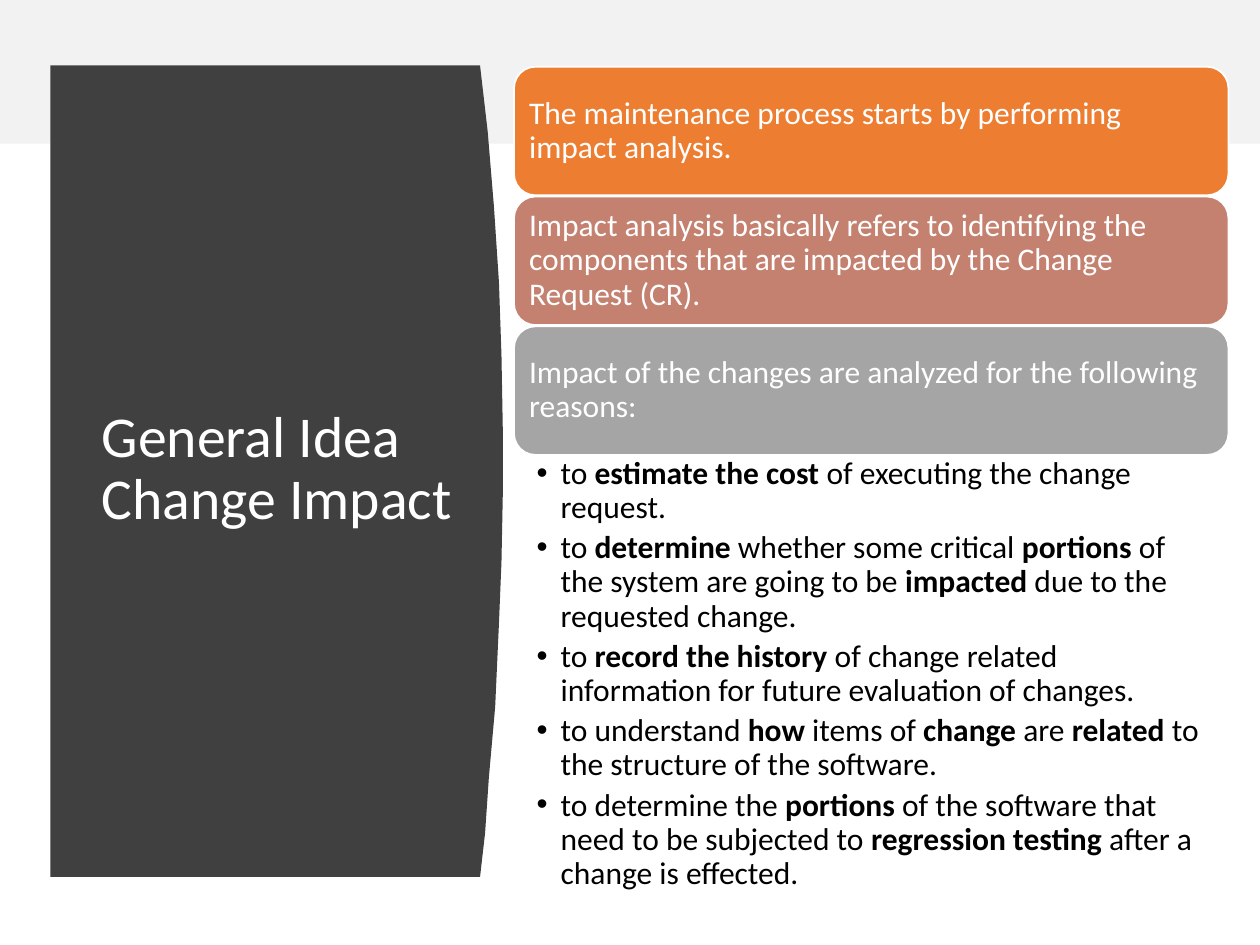
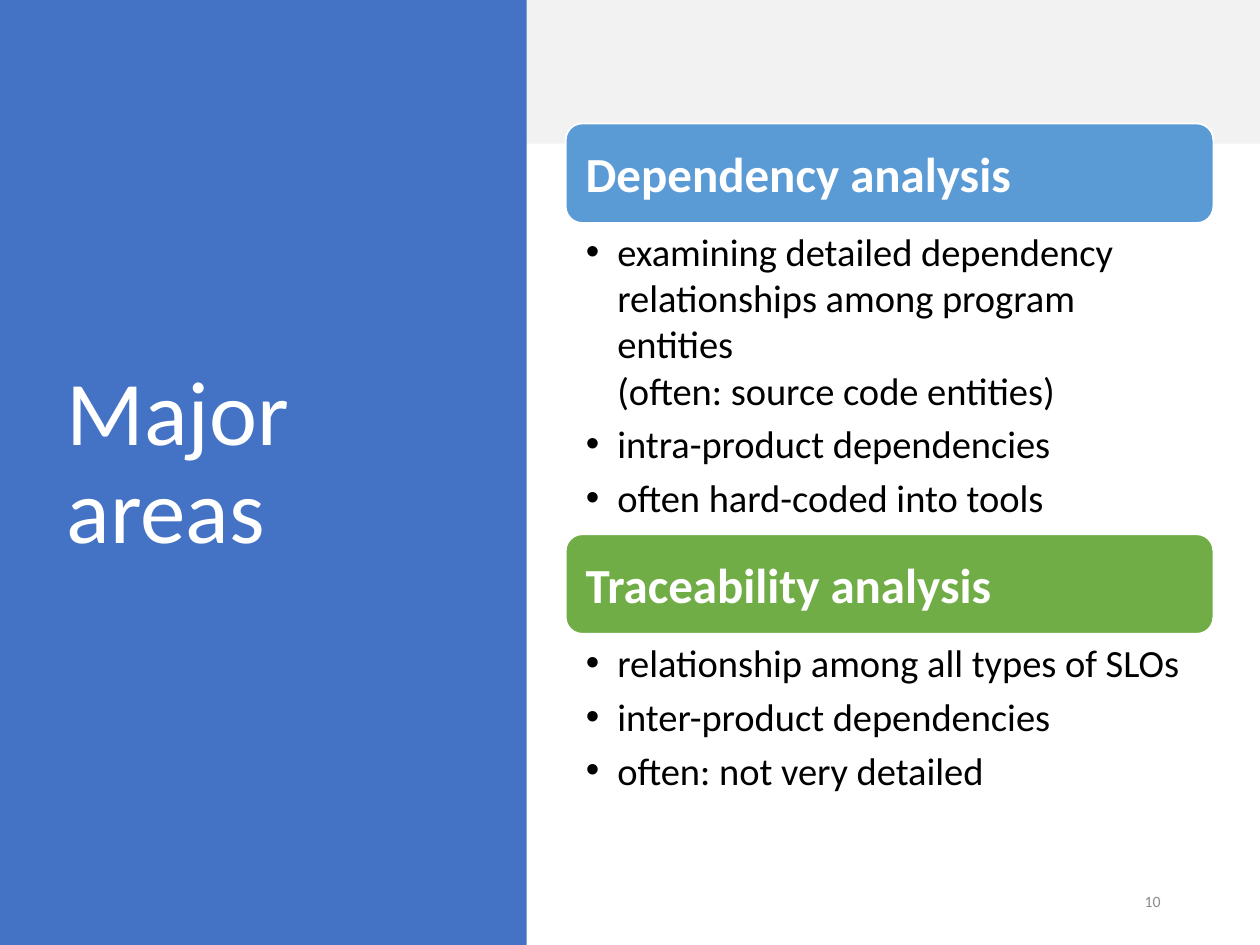
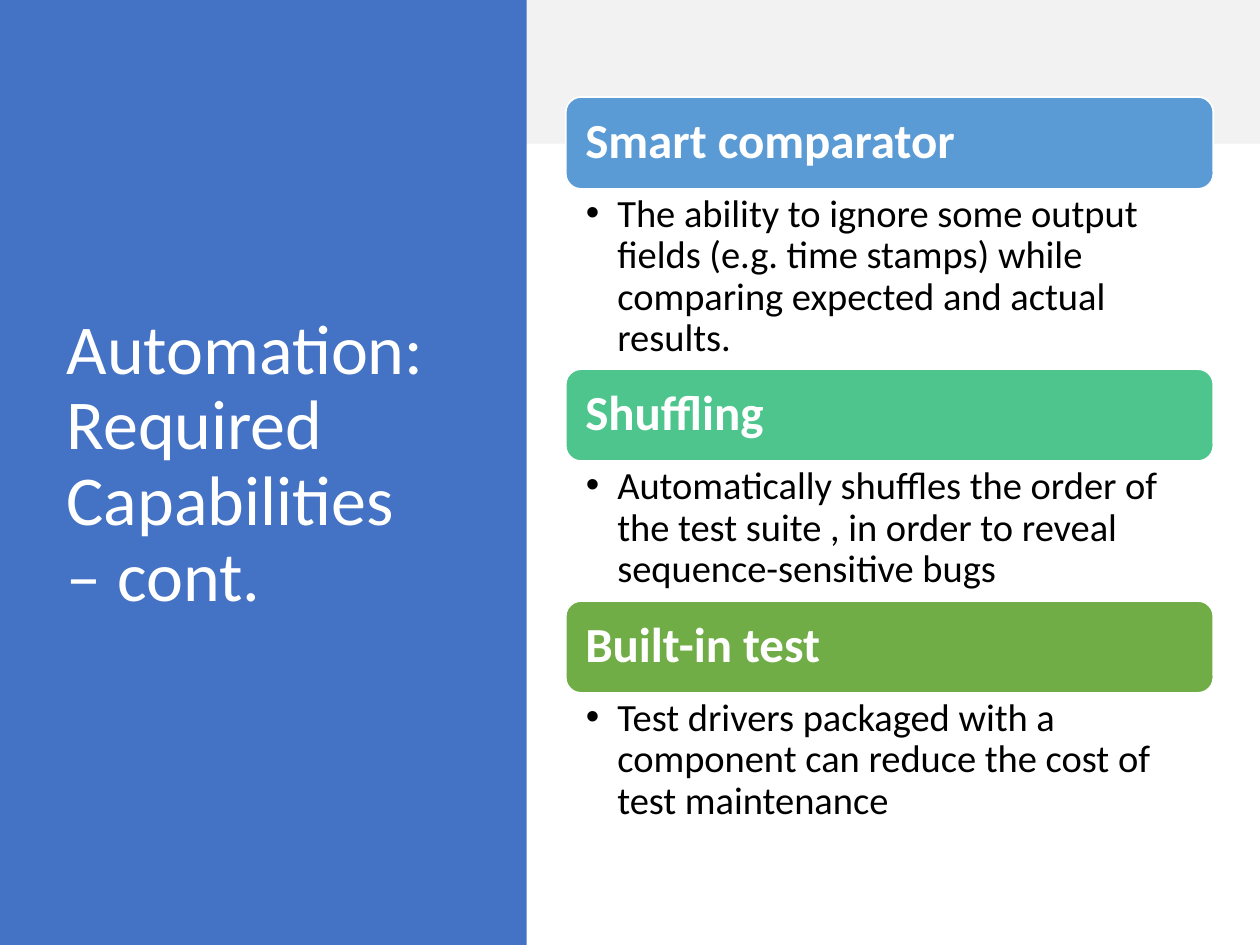
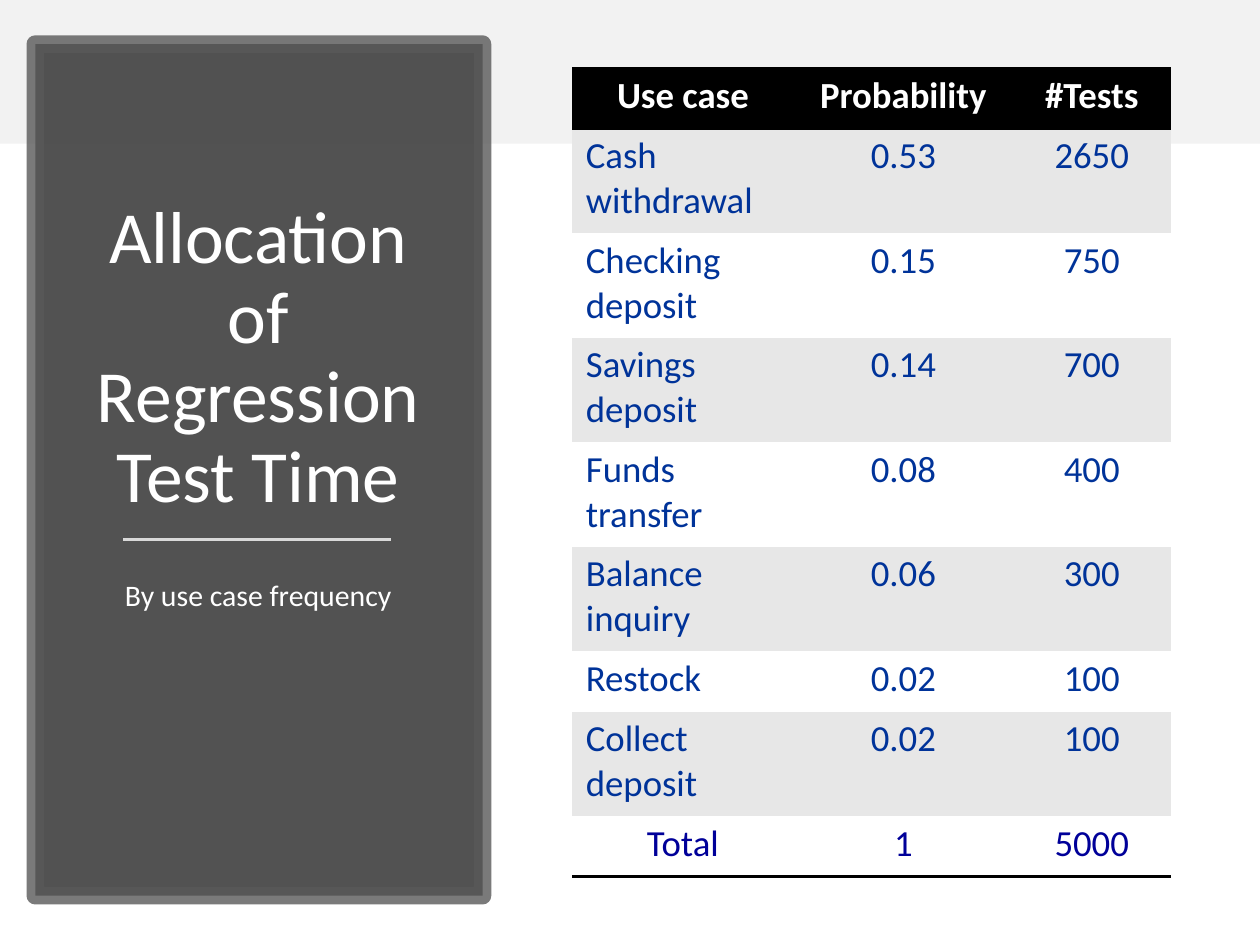
from lxml.etree import SubElement
from pptx import Presentation
from pptx.dml.color import RGBColor
from pptx.enum.shapes import MSO_CONNECTOR, MSO_SHAPE
from pptx.enum.text import MSO_ANCHOR, PP_ALIGN
from pptx.oxml.ns import qn
from pptx.util import Inches, Pt

COLORS = {
    "white": "FFFFFF", "black": "000000", "band": "F2F2F2", "charcoal": "404040",
    "frame": "595959", "rule": "D9D9D9", "number": "8C8C8C", "stripe": "E7E7E7",
    "panel": "4472C4", "orange": "ED7D31", "clay": "C48170", "gray": "A5A5A5",
    "blue": "5B9BD5", "mint": "4DC58D", "green": "70AD47",
    "navy": "003399", "total": "000099",
}
FONT = "Calibri"
PLAIN_TABLE_STYLE = "{2D5ABB26-0587-4C30-8999-92F81FD0307C}"
TEXT_INSETS = (0.1, 0.05, 0.1, 0.05)
PANEL_EDGE = [
    (3.81, 0.52), (3.87, 1.04), (3.92, 1.64), (3.96, 2.24), (3.98, 2.82),
    (3.99, 3.39), (3.99, 3.94), (3.98, 4.46), (3.96, 4.95), (3.93, 5.61),
    (3.88, 6.17), (3.85, 6.61), (3.81, 6.96),
]
STATEMENTS = [
    ("The maintenance process starts by performing impact analysis.", "orange"),
    ("Impact analysis basically refers to identifying the components that are "
     "impacted by the Change Request (CR).", "clay"),
    ("Impact of the changes are analyzed for the following reasons:", "gray"),
]
REASONS = [
    "to **estimate the cost **of executing the change request.",
    "to **determine** whether some critical **portions** of the system are going "
    "to be **impacted** due to the requested change.",
    "to **record the history **of change related information for future "
    "evaluation of changes.",
    "to understand **how** items of **change** are **related** to the structure "
    "of the software.",
    "to determine the **portions** of the software that need to be subjected to "
    "**regression testing** after a change is effected.",
]
AREAS = [
    ("Dependency analysis", "blue", 2.47, [
        "examining detailed dependency relationships among program entities \n"
        "(often: source code entities)",
        "intra-product dependencies",
        "often hard-coded into tools"]),
    ("Traceability analysis", "green", 1.36, [
        "relationship among all types of SLOs",
        "inter-product dependencies",
        "often: not very detailed"]),
]
CAPABILITIES = [
    ("Smart comparator", "blue", 1.43, [
        "The ability to ignore some output fields (e.g. time stamps) while "
        "comparing expected and actual results."]),
    ("Shuffling", "mint", 1.11, [
        "Automatically shuffles the order of the test suite , in order to reveal "
        "sequence-sensitive bugs"]),
    ("Built-in test", "green", 1.11, [
        "Test drivers packaged with a component can reduce the cost of test "
        "maintenance"]),
]
USE_CASES = [
    ("Use case", "Probability", "#Tests"),
    ("Cash withdrawal", "0.53", "2650"),
    ("Checking deposit", "0.15", "750"),
    ("Savings deposit", "0.14", "700"),
    ("Funds transfer", "0.08", "400"),
    ("Balance inquiry", "0.06", "300"),
    ("Restock", "0.02", "100"),
    ("Collect deposit", "0.02", "100"),
    ("Total", "1", "5000"),
]


def rgb(name):
    return RGBColor.from_string(COLORS[name])


class SlideBuilder:
    """Holds the shared style and draws on the current slide."""

    def __init__(self):
        self.deck = Presentation()
        self.deck.slide_width, self.deck.slide_height = Inches(10), Inches(7.5)
        self.page = None

    def new_page(self):
        self.page = self.deck.slides.add_slide(self.deck.slide_layouts[6])
        self.block((0, 0, 10, 1.14), "band")

    def paint(self, shape, fill, line=None, width=1):
        shape.shadow.inherit = False
        shape.fill.solid()
        shape.fill.fore_color.rgb = rgb(fill)
        if line:
            shape.line.color.rgb = rgb(line)
            shape.line.width = Pt(width)
        else:
            shape.line.fill.background()
        return shape

    def block(self, place, fill, line=None, width=1, kind=MSO_SHAPE.RECTANGLE):
        shape = self.page.shapes.add_shape(kind, *map(Inches, place))
        return self.paint(shape, fill, line, width)

    def fade(self, parent, percent):
        color = parent.find(qn("a:solidFill")).find(qn("a:srgbClr"))
        SubElement(color, qn("a:alpha"), val=str(percent * 1000))

    def curved_panel(self, left, edge, fill):
        (_, top), (_, bottom) = edge[0], edge[-1]
        outline = self.page.shapes.build_freeform(Inches(left), Inches(top))
        points = [(Inches(x), Inches(y)) for x, y in edge + [(left, bottom)]]
        outline.add_line_segments(points, close=True)
        self.paint(outline.convert_to_shape(), fill)

    def fill_frame(self, frame, texts, size, color="white", bold=None,
                   align=PP_ALIGN.LEFT, spacing=0.9, after=0,
                   anchor=MSO_ANCHOR.MIDDLE, insets=TEXT_INSETS, indent=0):
        frame.word_wrap = True
        frame.vertical_anchor = anchor
        (frame.margin_left, frame.margin_top,
         frame.margin_right, frame.margin_bottom) = map(Inches, insets)
        for index, text in enumerate(texts):
            para = frame.add_paragraph() if index else frame.paragraphs[0]
            if indent:
                self.bullet(para, indent)
            para.alignment = align
            para.line_spacing = spacing
            para.space_after = Pt(after)
            self.style(para.font, size, color, bold)
            self.add_spans(para, text)

    def style(self, font, size, color, bold=None):
        font.name, font.size, font.bold = FONT, Pt(size), bold
        font.color.rgb = rgb(color)

    def add_spans(self, para, text):
        for index, part in enumerate(text.split("**")):
            for line_index, line in enumerate(part.split("\n")):
                if line_index:
                    para.add_line_break()
                span = para.add_run()
                span.text = line
                if index % 2:
                    span.font.bold = True

    def bullet(self, para, indent):
        properties = para._p.get_or_add_pPr()
        properties.set("marL", str(Inches(indent)))
        properties.set("indent", str(-Inches(indent)))
        SubElement(properties, qn("a:buFont"), typeface="Arial")
        SubElement(properties, qn("a:buChar"), char="•")

    def text(self, place, texts, size, **options):
        box = self.page.shapes.add_textbox(*map(Inches, place))
        self.fill_frame(box.text_frame, texts, size, **options)

    def card(self, place, text, fill, size, inset, **options):
        shape = self.block(place, fill, "white", kind=MSO_SHAPE.ROUNDED_RECTANGLE)
        self.fill_frame(shape.text_frame, [text], size, after=size * 0.35,
                        insets=(inset,) * 4, **options)

    def bullets(self, place, texts, size, indent, insets, spacing=0.9):
        self.text(place, texts, size, color="black", spacing=spacing, after=size * 0.2,
                  anchor=MSO_ANCHOR.TOP, insets=insets, indent=indent)

    def topic_page(self, title, title_size, topics, top, card_height, spacing):
        self.new_page()
        self.block((0, 0, 4.18, 7.5), "panel")
        self.text((0.43, 0.68, 3.12, 6.02), [title], title_size)
        left, width = 4.49, 5.14
        for heading, fill, body_height, points in topics:
            self.card((left, top, width, card_height), heading, fill, 28, 0.12,
                      bold=True, spacing=spacing)
            top += card_height
            self.bullets((left, top, width, body_height), points, 22, 0.25,
                         (0.16, 0.04, 0.22, 0.04), spacing)
            top += body_height

    def rule(self, left, right, y):
        line = self.page.shapes.add_connector(
            MSO_CONNECTOR.STRAIGHT, Inches(left), Inches(y), Inches(right), Inches(y))
        line.line.color.rgb = rgb("rule")
        line.line.width = Pt(1.75)
        SubElement(line._element.spPr, qn("a:effectLst"))

    def border(self, cell, side):
        line = SubElement(cell._tc.get_or_add_tcPr(), qn(f"a:{side}"), w=str(Pt(2)))
        fill = SubElement(line, qn("a:solidFill"))
        SubElement(fill, qn("a:srgbClr"), val=COLORS["black"])

    def table(self, place, rows, widths, heights):
        frame = self.page.shapes.add_table(len(rows), len(widths), *map(Inches, place))
        table = frame.table
        table.first_row = table.horz_banding = False
        table._tbl.tblPr.find(qn("a:tableStyleId")).text = PLAIN_TABLE_STYLE
        for column, width in zip(table.columns, widths):
            column.width = Inches(width)
        last = len(rows) - 1
        for row_index, values in enumerate(rows):
            table.rows[row_index].height = Inches(heights[row_index])
            header, total = row_index == 0, row_index == last
            color = "white" if header else "total" if total else "navy"
            fill = "black" if header else "stripe" if row_index % 2 else "white"
            sides = ("lnT", "lnB") if header else ("lnB",) if total else ()
            for column_index, value in enumerate(values):
                cell = table.cell(row_index, column_index)
                for side in sides:
                    self.border(cell, side)
                cell.fill.solid()
                cell.fill.fore_color.rgb = rgb(fill)
                cell.margin_left = cell.margin_right = Inches(0.11)
                cell.margin_top = cell.margin_bottom = Inches(0.04)
                para = cell.text_frame.paragraphs[0]
                named = column_index == 0 and not (header or total)
                para.alignment = PP_ALIGN.LEFT if named else PP_ALIGN.CENTER
                self.style(para.font, 21, color, header)
                self.add_spans(para, value)


def change_impact(builder):
    builder.new_page()
    builder.curved_panel(0.4, PANEL_EDGE, "charcoal")
    builder.text((0.71, 1.11, 3.04, 5.24), ["General Idea\nChange Impact"], 33)
    for index, (statement, fill) in enumerate(STATEMENTS):
        builder.card((4.08, 0.53 + index * 1.03, 5.67, 1.02), statement, fill, 18, 0.07)
    builder.bullets((4.08, 3.6, 5.67, 3.35), REASONS, 18, 0.19, (0.18, 0.03, 0.14, 0.03))


def major_areas(builder):
    builder.topic_page("Major areas", 52, AREAS, 0.98, 0.79, 1.0)
    builder.text((7.06, 6.95, 2.25, 0.4), ["10"], 9, color="number",
                 align=PP_ALIGN.RIGHT, spacing=1.0, after=6)


def required_capabilities(builder):
    builder.topic_page("Automation: Required Capabilities – cont.", 40,
                       CAPABILITIES, 0.77, 0.73, 0.9)


def test_time(builder):
    builder.new_page()
    panel = builder.block((0.28, 0.35, 3.55, 6.76), "charcoal", "frame", 10)
    builder.fade(panel._element.spPr, 90)
    builder.fade(panel._element.spPr.find(qn("a:ln")), 80)
    builder.text((0.55, 1, 3, 3.16), ["Allocation of Regression Test Time"], 42,
                 align=PP_ALIGN.CENTER, anchor=MSO_ANCHOR.BOTTOM)
    builder.text((0.55, 4.56, 3, 1.67), ["By use case frequency"], 17,
                 align=PP_ALIGN.CENTER, anchor=MSO_ANCHOR.TOP)
    builder.rule(0.98, 3.1, 4.28)
    heights = [0.83 if " " in row[0] else 0.48 for row in USE_CASES]
    heights[0] = 0.48
    builder.table((4.54, 0.54, 4.75, 6.43), USE_CASES, (1.76, 1.74, 1.25), heights)


def main():
    builder = SlideBuilder()
    for draw in (change_impact, major_areas, required_capabilities, test_time):
        draw(builder)
    builder.deck.save("out.pptx")


if __name__ == "__main__":
    main()
